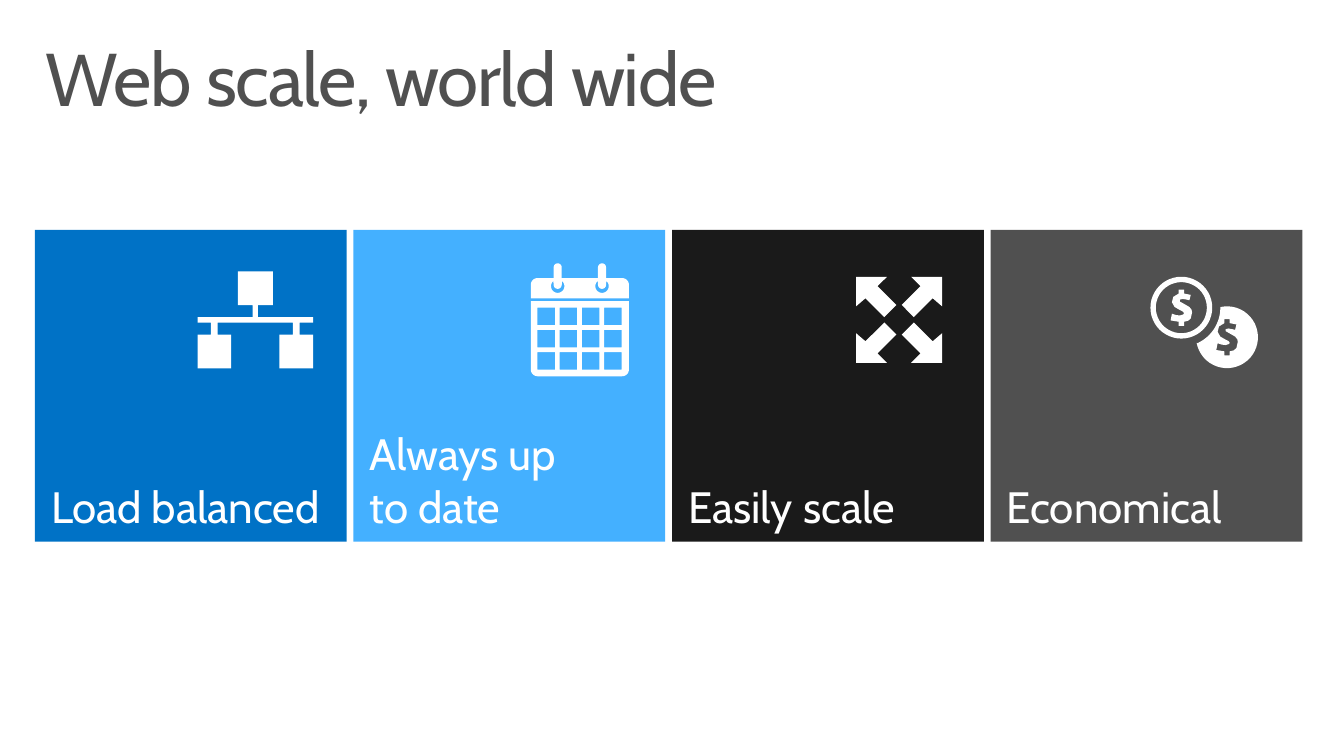
from dataclasses import dataclass
from math import cos, radians, sin

from pptx import Presentation
from pptx.dml.color import RGBColor
from pptx.enum.shapes import MSO_SHAPE
from pptx.enum.text import MSO_ANCHOR, PP_ALIGN
from pptx.util import Inches, Pt

RECTANGLE = MSO_SHAPE.RECTANGLE
TOP, BOTTOM = MSO_ANCHOR.TOP, MSO_ANCHOR.BOTTOM
LEFT = PP_ALIGN.LEFT


@dataclass(frozen=True)
class Theme:
    """Font, colours and type sizes of the slide."""
    font: str = "Cabin"
    title_size: float = 40
    label_size: float = 23.5
    label_gap: float = 5.9
    grey: str = "505050"
    white: str = "FFFFFF"
    blue: str = "0072C6"
    sky: str = "44B0FF"
    black: str = "1A1A1A"


THEME = Theme()
TILES = [
    ("Load balanced", THEME.blue),
    ("Always up \vto date", THEME.sky),
    ("Easily scale", THEME.black),
    ("Economical", THEME.grey),
]
TILE_LEFT, TILE_TOP, TILE_SIZE, TILE_PITCH = 0.26, 1.71, 2.32, 2.37

NETWORK_HALF = [
    (0.13, 2.02), (0.13, 2.27), (0.02, 2.27), (0.02, 2.36), (0.43, 2.36),
    (0.43, 2.4), (0.33, 2.4), (0.33, 2.49), (0.43, 2.49), (0.43, 2.74),
    (0.18, 2.74), (0.18, 2.49), (0.28, 2.49), (0.28, 2.4),
]
ARROW = [
    (0.32, 0.32), (0.32, 0.1), (0.25, 0.16), (0.11, 0.02),
    (0.02, 0.11), (0.16, 0.25), (0.09, 0.32),
]
DOLLAR_HUNDREDTHS = [
    (8, 3.5), (7, 8), (5, 9.8), (2, 10.5), (2, 13.5), (-2, 13.5), (-2, 10.5),
    (-8, 9.5), (-7, 4.5), (-4, 5.5), (-1, 5.8), (1.5, 5), (2, 4), (1, 2.8),
    (-1, 1.8), (-5, -0.5), (-7, -4), (-6, -8), (-2, -10.5), (-2, -13.5),
    (2, -13.5), (2, -10.5), (7, -9.5), (6, -5.5), (4, -6), (1, -6.5),
    (-1, -6), (-1, -4.5), (2, -2.8), (6, -0.5), (7.6, 1.5),
]


def paint(shape, color):
    """Give a shape a plain fill without line or shadow."""
    shape.shadow.inherit = False
    shape.fill.solid()
    shape.fill.fore_color.rgb = RGBColor.from_string(color)
    shape.line.fill.background()


def write(box, text, size, color, anchor):
    """Put left-aligned text in a box and return its paragraph."""
    frame = box.text_frame
    frame.word_wrap = True
    frame.vertical_anchor = anchor
    frame.margin_left = frame.margin_right = Inches(0.12)
    frame.margin_top = frame.margin_bottom = Inches(0.07)
    frame.text = text
    para = frame.paragraphs[0]
    para.alignment = LEFT
    for span in para.runs:
        span.font.name = THEME.font
        span.font.size = Pt(size)
        span.font.color.rgb = RGBColor.from_string(color)
    return para


def add_title(page, text):
    """Add the slide title with slightly tightened letters."""
    box = page.shapes.add_textbox(Inches(0.22), Inches(0.24), Inches(9.56), Inches(0.74))
    para = write(box, text, THEME.title_size, THEME.grey, TOP)
    para.line_spacing = 0.9
    para.runs[0].font._element.set("spc", "-75")


def add_tile(page, index, label, color):
    """Add one square tile with its label at the bottom."""
    left = TILE_LEFT + index * TILE_PITCH
    tile = page.shapes.add_shape(
        RECTANGLE, Inches(left), Inches(TILE_TOP), Inches(TILE_SIZE), Inches(TILE_SIZE))
    paint(tile, color)
    para = write(tile, label, THEME.label_size, THEME.white, BOTTOM)
    if index < len(TILES) - 1:
        para.space_after = Pt(THEME.label_gap)


def arc(x, y, radius, start, end, steps=24):
    """Return points along an arc, with angles in degrees clockwise from the right."""
    angles = [radians(start + (end - start) * step / steps) for step in range(steps + 1)]
    return [(x + radius * cos(angle), y + radius * sin(angle)) for angle in angles]


def rectangle(left, top, width, height):
    """Return the corners of a rectangle."""
    right, bottom = left + width, top + height
    return [(left, top), (right, top), (right, bottom), (left, bottom)]


def add_outline(shapes, contours):
    """Add one white freeform made of closed contours."""
    scaled = [[(Inches(x), Inches(y)) for x, y in contour] for contour in contours]
    builder = shapes.build_freeform(*scaled[0][0], scale=1.0)
    for number, contour in enumerate(scaled):
        if number:
            builder.move_to(*contour[0])
        builder.add_line_segments(contour[1:], close=True)
    paint(builder.convert_to_shape(), THEME.white)


def add_network(page):
    """Add the icon of one box linked to two others."""
    center = 1.9
    right = [(center + x, y) for x, y in NETWORK_HALF]
    left = [(center - x, y) for x, y in reversed(NETWORK_HALF)]
    add_outline(page.shapes, [right + left])


def add_calendar(page):
    """Add the calendar icon as a day grid below a header with two rings."""
    shapes = page.shapes.add_group_shape().shapes
    left, right, corner = 3.95, 4.68, 0.05
    sheet = [(left, 2.24), (right, 2.24)]
    sheet += arc(right - corner, 2.75, corner, 0, 90, 8)
    sheet += arc(left + corner, 2.75, corner, 90, 180, 8)
    days = [rectangle(4 + column * 0.165, 2.29 + row * 0.165, 0.13, 0.13)
            for row in range(3) for column in range(4)]
    add_outline(shapes, [sheet] + days)

    header = [(right, 2.22), (left, 2.22)] + arc(left + corner, 2.12, corner, 180, 270, 8)
    notches = []
    for ring in (4.15, 4.48):
        header += [(ring - 0.03, 2.07)] + arc(ring, 1.99, 0.03, 180, 360, 12)
        header.append((ring + 0.03, 2.07))
        notches.append(arc(ring, 2.13, 0.05, 230, -50) + arc(ring, 2.12, 0.03, 0, 180, 12))
    header += arc(right - corner, 2.12, corner, 270, 360, 8)
    add_outline(shapes, [header] + notches)


def add_arrows(page):
    """Add four arrows that point out to the corners."""
    shapes = page.shapes.add_group_shape().shapes
    for down in (-1, 1):
        for across in (-1, 1):
            add_outline(shapes, [[(6.69 + across * x, 2.38 + down * y) for x, y in ARROW]])


def dollar(x, y):
    """Return the outline of a dollar sign around a centre."""
    return [(x + across / 100, y + down / 100) for across, down in DOLLAR_HUNDREDTHS]


def add_coins(page):
    """Add a ringed coin in front of a solid one."""
    front, back = (8.79, 2.29), (9.13, 2.51)
    crescent = arc(*back, 0.23, -102, 170, 36) + arc(*front, 0.29, 67, 0)
    add_outline(page.shapes, [
        arc(*front, 0.23, 0, 360, 48), arc(*front, 0.19, 360, 0, 48), dollar(*front),
        crescent, dollar(*back)])


def main():
    """Build the slide and save it."""
    deck = Presentation()
    deck.slide_width = Inches(10)
    deck.slide_height = deck.slide_width * 9 // 16
    page = deck.slides.add_slide(deck.slide_layouts[6])
    add_title(page, "Web scale, world wide")
    for index, (label, color) in enumerate(TILES):
        add_tile(page, index, label, color)
    add_coins(page)
    add_arrows(page)
    add_network(page)
    add_calendar(page)
    deck.save("out.pptx")


if __name__ == "__main__":
    main()
